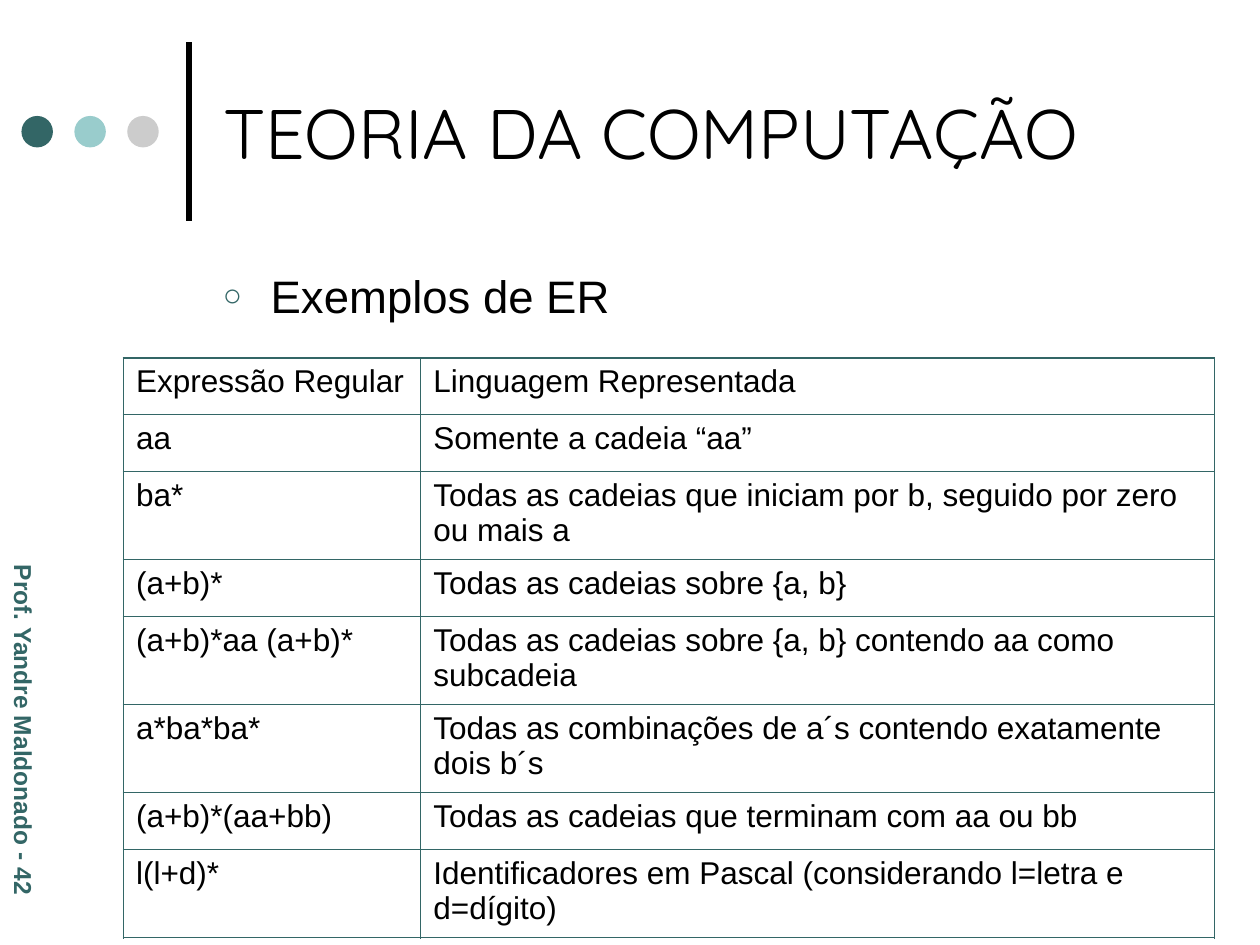
from dataclasses import dataclass

from lxml import etree
from pptx import Presentation
from pptx import util as u
from pptx.dml.color import RGBColor
from pptx.enum import shapes, text
from pptx.oxml import ns

PX = u.Inches(1) // 100
BLACK = RGBColor(0x00, 0x00, 0x00)
TEAL = RGBColor(0x33, 0x66, 0x66)
AQUA = RGBColor(0x99, 0xCC, 0xCC)
GREY = RGBColor(0xCC, 0xCC, 0xCC)
THIN, THICK = 0.45, 1.08


@dataclass(frozen=True)
class Box:
    left: int
    top: int
    width: int
    height: int

    def emu(self) -> tuple:
        return tuple(n * PX for n in (self.left, self.top, self.width, self.height))


@dataclass(frozen=True)
class Dot:
    box: Box
    color: RGBColor


@dataclass(frozen=True)
class Row:
    regex: str
    lang: str
    height: int


DOTS = [Dot(Box(17 + 42 * i, 92, 25, 25), hue) for i, hue in enumerate((TEAL, AQUA, GREY))]
COLS = (236, 630)
ROWS = [
    Row("Expressão Regular", "Linguagem Representada", 45),
    Row("aa", "Somente a cadeia “aa”", 45),
    Row("ba*", "Todas as cadeias que iniciam por b, seguido por zero ou mais a", 70),
    Row("(a+b)*", "Todas as cadeias sobre {a, b}", 45),
    Row("(a+b)*aa (a+b)*", "Todas as cadeias sobre {a, b} contendo aa como subcadeia", 70),
    Row("a*ba*ba*", "Todas as combinações de a´s contendo exatamente dois b´s", 70),
    Row("(a+b)*(aa+bb)", "Todas as cadeias que terminam com aa ou bb", 45),
    Row("l(l+d)*", "Identificadores em Pascal (considerando l=letra e d=dígito)", 70),
]


def apply(item, values: dict) -> None:
    for key, value in values.items():
        setattr(item, key, value)


def write(frame, words: str, size: int, color: RGBColor = BLACK,
          name: str = "Arial", bold: bool = False, before: float = 0):
    apply(frame, {"text": words, "word_wrap": True})
    para = frame.paragraphs[0]
    apply(para, {"alignment": text.PP_ALIGN.LEFT, "space_before": u.Pt(before)})
    font = para.runs[0].font
    apply(font, {"size": u.Pt(size), "name": name, "bold": bold})
    font.color.rgb = color
    return para


def place(item, box: Box) -> None:
    apply(item, dict(zip(("left", "top", "width", "height"), box.emu())))


def draw_dot(slide, dot: Dot) -> None:
    oval = slide.shapes.add_shape(shapes.MSO_SHAPE.OVAL, *dot.box.emu())
    oval.shadow.inherit = False
    oval.fill.solid()
    oval.fill.fore_color.rgb = dot.color
    oval.line.fill.background()


def draw_rule(slide) -> None:
    rule = slide.shapes.add_connector(
        shapes.MSO_CONNECTOR.STRAIGHT, 150 * PX, 175 * PX, 150 * PX, 33 * PX)
    rule.line.width = u.Pt(3)
    rule.line.color.rgb = BLACK
    etree.SubElement(rule._element.spPr, ns.qn("a:effectLst"))


def draw_title(slide) -> None:
    title = slide.shapes.title
    place(title, Box(167, 21, 767, 167))
    write(title.text_frame, "TEORIA DA COMPUTAÇÃO", 40, name="Quicksand")
    apply(title.text_frame, {"vertical_anchor": text.MSO_ANCHOR.MIDDLE,
                             "auto_size": text.MSO_AUTO_SIZE.NONE})


def draw_bullet(slide) -> None:
    body = slide.shapes.add_textbox(*Box(167, 208, 375, 450).emu())
    para = write(body.text_frame, "Exemplos de ER", 26, before=6.5)
    props = para._p.get_or_add_pPr()
    props.set("marL", str(38 * PX))
    props.set("indent", str(-38 * PX))
    hue = etree.SubElement(props, ns.qn("a:buClr"))
    etree.SubElement(hue, ns.qn("a:srgbClr"), val=str(TEAL))
    etree.SubElement(props, ns.qn("a:buSzPct"), val="70000")
    etree.SubElement(props, ns.qn("a:buFont"), typeface="Arial")
    etree.SubElement(props, ns.qn("a:buChar"), char="○")


def add_edge(cell, side: str, points: float) -> None:
    props = cell._tc.get_or_add_tcPr()
    edge = etree.SubElement(props, ns.qn(f"a:ln{side}"), w=str(u.Pt(points)))
    fill = etree.SubElement(edge, ns.qn("a:solidFill"))
    etree.SubElement(fill, ns.qn("a:srgbClr"), val=str(TEAL))


def draw_table(slide) -> None:
    box = Box(98, 284, sum(COLS), sum(row.height for row in ROWS))
    table = slide.shapes.add_table(len(ROWS), len(COLS), *box.emu()).table
    apply(table, {"first_row": False, "horz_banding": False})
    for col, width in zip(table.columns, COLS):
        col.width = width * PX
    for r, row in enumerate(ROWS):
        table.rows[r].height = row.height * PX
        for c, words in enumerate((row.regex, row.lang)):
            cell = table.cell(r, c)
            write(cell.text_frame, words, 18, before=4.5)
            outer = {"L": c == 0, "R": c == len(COLS) - 1,
                     "T": r == 0, "B": r == len(ROWS) - 1}
            for side, edge in outer.items():
                add_edge(cell, side, THICK if edge else THIN)
            cell.fill.background()


def draw_credit(slide) -> None:
    credit = slide.shapes.add_textbox(*Box(-135, 575, 307, 34).emu())
    credit.rotation = 90
    write(credit.text_frame, "Prof. Yandre Maldonado - 42", 14, TEAL, bold=True)
    credit.text_frame.auto_size = text.MSO_AUTO_SIZE.SHAPE_TO_FIT_TEXT


def main() -> None:
    deck = Presentation()
    apply(deck, {"slide_width": 1000 * PX, "slide_height": 750 * PX})
    slide = deck.slides.add_slide(deck.slide_layouts.get_by_name("Title Only"))
    draw_rule(slide)
    for dot in DOTS:
        draw_dot(slide, dot)
    draw_title(slide)
    draw_bullet(slide)
    draw_table(slide)
    draw_credit(slide)
    deck.save("out.pptx")


if __name__ == "__main__":
    main()
